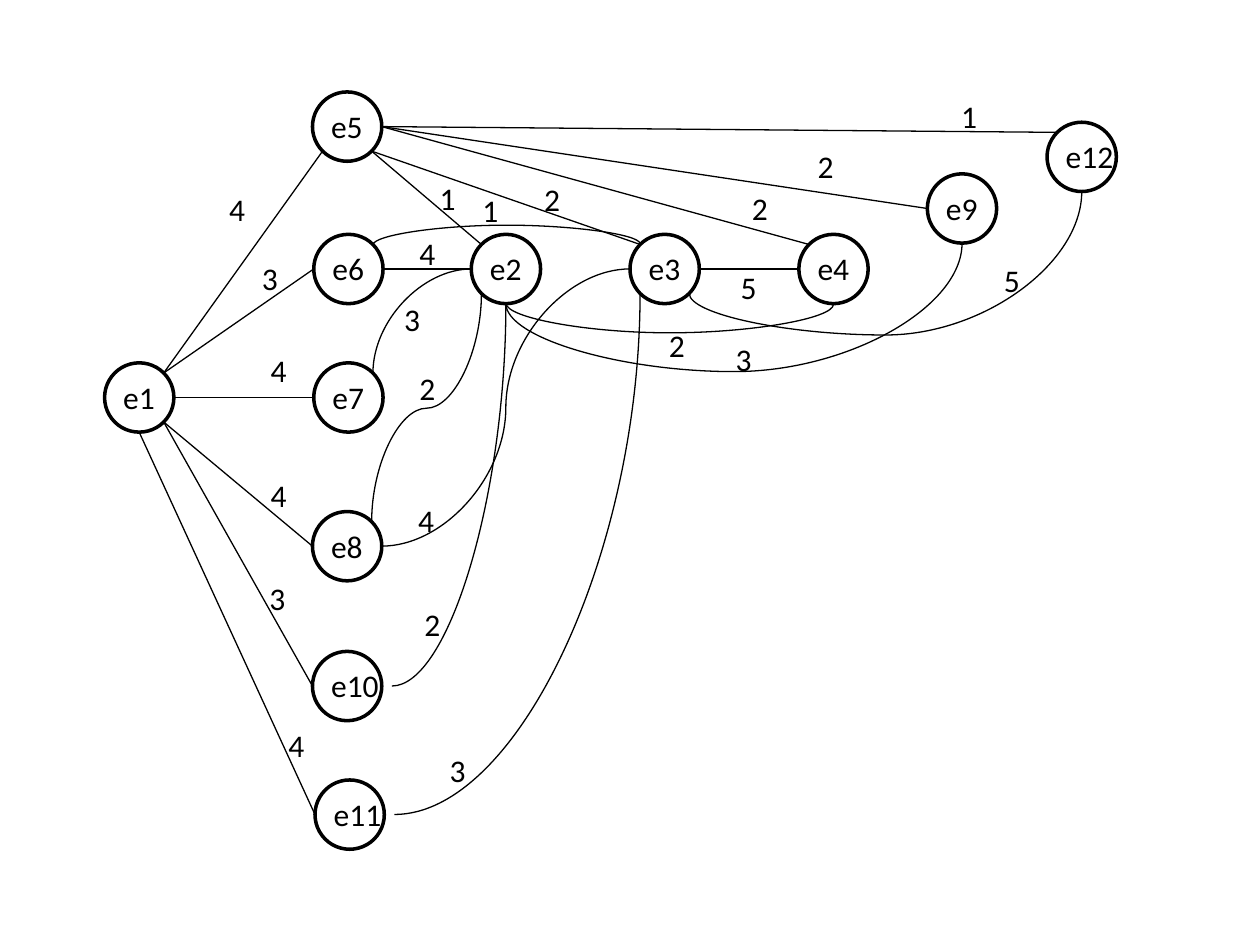
from dataclasses import dataclass
from enum import Enum
from math import copysign, sqrt

from lxml.etree import SubElement
from pptx import Presentation
from pptx.dml.color import RGBColor
from pptx.enum.shapes import MSO_CONNECTOR as Connector, MSO_SHAPE as Shape
from pptx.enum.text import MSO_AUTO_SIZE as AutoSize
from pptx.oxml.ns import qn
from pptx.util import Inches, Pt


@dataclass(frozen=True)
class Theme:
    """Colours, type and line widths of the graph."""
    ink: RGBColor = RGBColor(0, 0, 0)
    font: str = "Calibri"
    text_size: float = 18
    node_line: float = 2
    edge_line: float = 0.75


class Route(Enum):
    """How an edge leaves its first node."""
    STRAIGHT = "straight"
    ACROSS = "S-curve, leaving sideways"
    UPDOWN = "curve, leaving up or down"
    QUARTER_ACROSS = "quarter turn, leaving sideways"
    QUARTER_UP = "quarter turn, leaving upwards"


THEME = Theme()
DIAMETER = 0.55
RADIUS = DIAMETER / 2
DIAGONAL = RADIUS / sqrt(2)
MIN_SPAN = 0.01

# Offsets from a node's centre; "label" is the right edge of a long label.
SIDES = {
    "n": (0, -RADIUS), "s": (0, RADIUS), "w": (-RADIUS, 0), "e": (RADIUS, 0),
    "nw": (-DIAGONAL, -DIAGONAL), "ne": (DIAGONAL, -DIAGONAL),
    "sw": (-DIAGONAL, DIAGONAL), "se": (DIAGONAL, DIAGONAL),
    "label": (0.63 - RADIUS, 0),
}

# Left and top of each circle.
NODES = {
    "e1": (0.83, 2.88), "e5": (2.48, 0.73), "e6": (2.49, 1.86),
    "e7": (2.49, 2.88), "e8": (2.48, 4.06), "e10": (2.48, 5.17),
    "e11": (2.5, 6.19), "e2": (3.74, 1.86), "e3": (5, 1.86),
    "e4": (6.34, 1.86), "e9": (7.36, 1.38), "e12": (8.31, 0.97),
}

# Start, end, weight, left and top of the weight, route, height of the bend.
EDGES = [
    ("e1.ne", "e5.sw", 4, (1.72, 1.46), Route.STRAIGHT, None),
    ("e1.e", "e7.w", 4, (2.05, 2.74), Route.STRAIGHT, None),
    ("e1.se", "e8.w", 4, (2.05, 3.73), Route.STRAIGHT, None),
    ("e1.s", "e11.w", 4, (2.19, 5.71), Route.STRAIGHT, None),
    ("e1.ne", "e6.w", 3, (1.98, 2.01), Route.STRAIGHT, None),
    ("e1.se", "e10.w", 3, (2.04, 4.55), Route.STRAIGHT, None),
    ("e2.nw", "e5.se", 1, (3.39, 1.37), Route.STRAIGHT, None),
    ("e3.nw", "e5.se", 2, (4.22, 1.38), Route.STRAIGHT, None),
    ("e4.nw", "e5.e", 2, (5.87, 1.45), Route.STRAIGHT, None),
    ("e9.w", "e5.e", 2, (6.39, 1.12), Route.STRAIGHT, None),
    ("e12.nw", "e5.e", 1, (7.53, 0.72), Route.STRAIGHT, None),
    ("e2.s", "e4.s", 2, (5.21, 2.54), Route.UPDOWN, 2.65),
    ("e6.e", "e2.w", 4, (3.23, 1.81), Route.ACROSS, None),
    ("e7.ne", "e2.w", 3, (3.11, 2.33), Route.QUARTER_UP, None),
    ("e8.ne", "e2.sw", 2, (3.23, 2.88), Route.UPDOWN, 3.24),
    ("e2.s", "e9.s", 3, (5.74, 2.65), Route.UPDOWN, 2.95),
    ("e10.label", "e2.s", 2, (3.27, 4.75), Route.QUARTER_ACROSS, None),
    ("e3.e", "e4.w", 5, (5.78, 2.08), Route.ACROSS, None),
    ("e6.ne", "e3.nw", 1, (3.73, 1.47), Route.UPDOWN, 1.78),
    ("e8.e", "e3.w", 4, (3.22, 3.93), Route.ACROSS, None),
    ("e11.label", "e3.sw", 3, (3.47, 5.91), Route.QUARTER_ACROSS, None),
    ("e3.se", "e12.s", 5, (7.87, 2.02), Route.UPDOWN, 2.66),
]


def anchor(name):
    """Return the point that a name such as "e1.ne" stands for."""
    node, side = name.split(".")
    left, top = NODES[node]
    across, down = SIDES[side]
    return left + RADIUS + across, top + RADIUS + down


def add_label(shapes, text, left, top, width):
    """Add one line of text that keeps its own width."""
    box = shapes.add_textbox(Inches(left), Inches(top), Inches(width), Inches(0.4))
    frame = box.text_frame
    frame.word_wrap = False
    frame.auto_size = AutoSize.SHAPE_TO_FIT_TEXT
    run = frame.paragraphs[0].add_run()
    run.text = text
    run.font.name = THEME.font
    run.font.size = Pt(THEME.text_size)
    run.font.color.rgb = THEME.ink


def add_node(slide, name, left, top):
    """Add a circle grouped with its name."""
    shapes = slide.shapes.add_group_shape().shapes
    circle = shapes.add_shape(Shape.OVAL, Inches(left), Inches(top),
                              Inches(DIAMETER), Inches(DIAMETER))
    circle.shadow.inherit = False
    circle.fill.background()
    circle.line.color.rgb = THEME.ink
    circle.line.width = Pt(THEME.node_line)
    width = 0.46 if len(name) == 2 else 0.58
    add_label(shapes, name, left + 0.05, top + 0.07, width)


def turn_upright(connector, start, end, bend):
    """Rotate a curve so that it leaves its start up or down."""
    (x1, y1), (x2, y2) = start, end
    span = y2 - y1
    if abs(span) < MIN_SPAN:
        span = copysign(MIN_SPAN, bend - y1)
    width, height = abs(span), abs(x2 - x1)
    connector.left = Inches((x1 + x2 - width) / 2)
    connector.top = Inches((y1 + y2 - height) / 2)
    connector.width, connector.height = Inches(width), Inches(height)
    rising = span < 0
    frame = connector.element.spPr.find(qn("a:xfrm"))
    frame.set("rot", str((90 if rising else 270) * 60000))
    frame.set("flipH", "1")
    frame.set("flipV", "1" if rising else "0")
    if bend is not None:
        values = connector.element.spPr.find(qn("a:prstGeom")).find(qn("a:avLst"))
        share = round((bend - y1) / span * 100000)
        SubElement(values, qn("a:gd"), name="adj1", fmla=f"val {share}")


def add_edge(slide, start_name, end_name, route, bend):
    """Join two anchors with a line or a curve."""
    start, end = anchor(start_name), anchor(end_name)
    kind = Connector.STRAIGHT if route is Route.STRAIGHT else Connector.CURVE
    connector = slide.shapes.add_connector(
        kind, *(Inches(value) for value in start + end))
    properties = connector.element.spPr
    if route in (Route.QUARTER_ACROSS, Route.QUARTER_UP):
        properties.find(qn("a:prstGeom")).set("prst", "curvedConnector2")
    if route in (Route.UPDOWN, Route.QUARTER_UP):
        turn_upright(connector, start, end, bend)
    connector.line.color.rgb = THEME.ink
    connector.line.width = Pt(THEME.edge_line)
    SubElement(properties, qn("a:effectLst"))


def main():
    """Build the weighted graph and save it."""
    presentation = Presentation()
    presentation.slide_width, presentation.slide_height = Inches(10), Inches(7.5)
    slide = presentation.slides.add_slide(presentation.slide_layouts[6])
    for name, (left, top) in NODES.items():
        add_node(slide, name, left, top)
    for start, end, weight, (left, top), route, bend in EDGES:
        add_edge(slide, start, end, route, bend)
        add_label(slide.shapes, str(weight), left, top, 0.33)
    presentation.save("out.pptx")


main()
